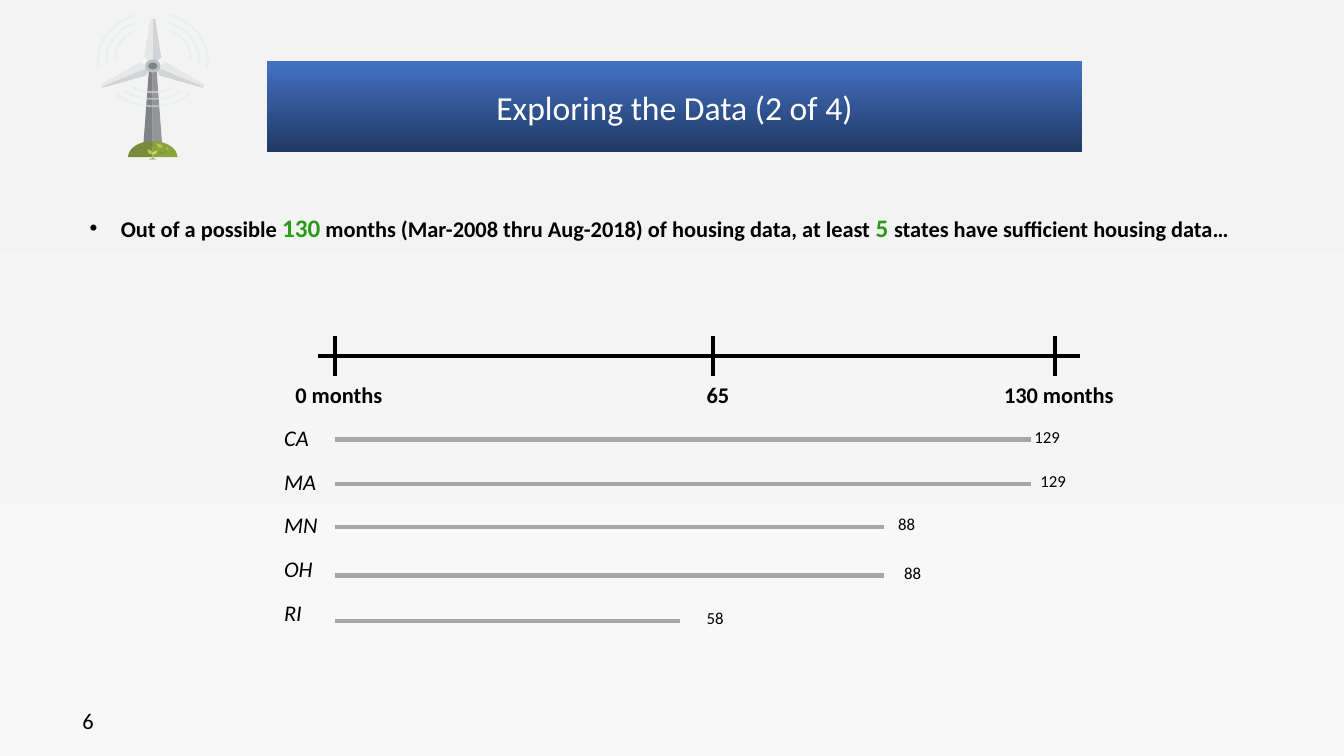
from lxml import etree
from pptx import Presentation
from pptx.dml.color import RGBColor
from pptx.enum.shapes import MSO_CONNECTOR
from pptx.enum.text import MSO_ANCHOR, MSO_AUTO_SIZE, PP_ALIGN
from pptx.oxml.ns import qn
from pptx.util import Inches, Pt

BLACK, GREEN, GREY = "000000", "2A9B18", "A6A6A6"
HUB_X, HUB_Y = 1.515, 0.655

# Outlines: two numbers are a line to x, y; six are a Bézier curve.
# Parts whose halves match on either side of the hub: right colour, left colour, outline
MIRRORED_PARTS = [
    ("939598", "808285", [(1.55, 0.65), (1.61, 1.46), (1.515, 1.46), (1.515, 0.65)]),
    ("D1D3D4", "D1D3D4", [(2.02, 0.86), (1.54, 0.66), (1.58, 0.75), (2.01, 0.87)]),
    ("E6E7E8", "E6E7E8", [(2.02, 0.86), (1.54, 0.66), (1.65, 0.62), (2.03, 0.84)]),
    ("D1D3D4", "E6E7E8", [(1.515, 0.19), (1.515, 0.64), (1.6, 0.57), (1.54, 0.19)]),
    ("8AA33C", "798C39", [(1.515, 1.4), (1.65, 1.4, 1.76, 1.47, 1.76, 1.56), (1.515, 1.56)]),
]
HUB_RINGS = [("BCBEC0", 0.075, 0.065), ("808285", 0.045, 0.035)]
UNIT_RING = [(0, -1), (0.55, -1, 1, -0.55, 1, 0), (1, 0.55, 0.55, 1, 0, 1),
             (-0.55, 1, -1, 0.55, -1, 0), (-1, -0.55, -0.55, -1, 0, -1)]
SPROUTS = [
    ("CDDD70", [(1.51, 1.52), (1.51, 1.51, 1.53, 1.5, 1.54, 1.5), (1.55, 1.5, 1.56, 1.49, 1.56, 1.49),
                (1.55, 1.54, 1.52, 1.53, 1.52, 1.53), (1.52, 1.57)]),
    ("B3C640", [(1.51, 1.52), (1.51, 1.5, 1.5, 1.49, 1.49, 1.49), (1.47, 1.49, 1.46, 1.48, 1.46, 1.48),
                (1.47, 1.54, 1.5, 1.53, 1.51, 1.53), (1.51, 1.57), (1.52, 1.57)]),
    ("778C39", [(1.55, 1.58), (1.52, 1.57), (1.5, 1.57, 1.48, 1.58, 1.48, 1.58)]),
    ("CDDD70", [(1.65, 1.48), (1.65, 1.47, 1.65, 1.47, 1.66, 1.47), (1.67, 1.47),
                (1.67, 1.49, 1.65, 1.48, 1.65, 1.48), (1.65, 1.5)]),
    ("778C39", [(1.66, 1.51), (1.65, 1.5), (1.64, 1.5), (1.63, 1.51)]),
    ("B3C640", [(1.61, 1.45), (1.61, 1.44, 1.6, 1.43, 1.58, 1.43), (1.56, 1.43, 1.55, 1.42, 1.55, 1.42),
                (1.56, 1.48, 1.6, 1.47, 1.61, 1.46), (1.61, 1.51)]),
    ("778C39", [(1.65, 1.52), (1.62, 1.51), (1.59, 1.5, 1.57, 1.52, 1.57, 1.52)]),
]
LOWER_WAVES = [
    [(1.17, 0.93), (1.35, 1.08, 1.69, 1.09, 1.87, 0.93), (1.87, 0.92, 1.89, 0.94, 1.88, 0.94),
     (1.69, 1.1, 1.34, 1.1, 1.15, 0.95), (1.14, 0.94, 1.16, 0.93, 1.17, 0.93)],
    [(1.25, 0.89), (1.39, 1, 1.64, 1, 1.78, 0.9), (1.79, 0.89, 1.81, 0.9, 1.8, 0.91),
     (1.65, 1.02, 1.38, 1.01, 1.23, 0.91), (1.22, 0.9, 1.24, 0.89, 1.25, 0.89)],
    [(1.33, 0.86), (1.44, 0.92, 1.6, 0.92, 1.7, 0.86), (1.71, 0.86, 1.72, 0.87, 1.71, 0.88),
     (1.6, 0.94, 1.43, 0.94, 1.32, 0.88), (1.31, 0.87, 1.32, 0.86, 1.33, 0.86)],
]
SIDE_WAVES = [
    [(2.04, 0.67), (2.1, 0.46, 1.92, 0.21, 1.67, 0.16), (1.66, 0.16, 1.66, 0.14, 1.67, 0.14),
     (1.93, 0.19, 2.12, 0.45, 2.06, 0.67), (2.06, 0.68, 2.04, 0.68, 2.04, 0.67)],
    [(1.96, 0.63), (1.99, 0.47, 1.86, 0.28, 1.68, 0.24), (1.67, 0.23, 1.67, 0.22, 1.68, 0.22),
     (1.88, 0.27, 2.01, 0.47, 1.98, 0.63), (1.98, 0.64, 1.96, 0.64, 1.96, 0.63)],
    [(1.88, 0.58), (1.89, 0.48, 1.8, 0.36, 1.69, 0.31), (1.68, 0.31, 1.69, 0.29, 1.7, 0.3),
     (1.82, 0.35, 1.91, 0.47, 1.9, 0.58), (1.9, 0.6, 1.88, 0.6, 1.88, 0.58)],
]


def rgb(hex_code):
    return RGBColor.from_string(hex_code)


def place(outline, sx, sy, dx, dy):
    """Scale an outline, then shift it."""
    return [tuple(v * sy + dy if i % 2 else v * sx + dx for i, v in enumerate(step))
            for step in outline]


def mirror(outline):
    return place(outline, -1, 1, 2 * HUB_X, 0)


def extent_points(outline):
    """List the end points, and the middle of each curve."""
    points = [outline[0]]
    for step in outline[1:]:
        if len(step) == 6:
            ends = points[-1] + step
            points.append(tuple((ends[i] + 3 * ends[i + 2] + 3 * ends[i + 4] + ends[i + 6]) / 8
                                for i in (0, 1)))
        points.append(step[-2:])
    return points


class SlideBuilder:
    font = "Calibri"

    def __init__(self, slide):
        self.slide = slide
        self.shapes = slide.shapes

    def start_group(self):
        self.shapes = self.slide.shapes.add_group_shape().shapes

    def gradient(self, fill, top, bottom):
        fill.gradient()
        fill.gradient_angle = 270
        for stop, color in zip(fill.gradient_stops, (top, bottom)):
            stop.color.rgb = rgb(color)

    def style(self, run, size, color=BLACK, bold=False, italic=False):
        font = run.font
        font.name, font.size, font.bold, font.italic = self.font, Pt(size), bold, italic
        font.color.rgb = rgb(color)

    def title(self, wording, *box):
        banner = self.slide.shapes.title
        banner.left, banner.top, banner.width, banner.height = map(Inches, box)
        self.gradient(banner.fill, "4472C4", "203864")
        banner.text_frame.text = wording
        banner.text_frame.vertical_anchor = MSO_ANCHOR.MIDDLE
        line = banner.text_frame.paragraphs[0]
        line.alignment = PP_ALIGN.CENTER
        self.style(line.runs[0], 24, "FFFFFF")

    def text(self, wording, *box, size=16, wrap=False, space_after=0, **look):
        frame = self.shapes.add_textbox(*map(Inches, box)).text_frame
        frame.text = wording
        frame.word_wrap = wrap
        frame.auto_size = MSO_AUTO_SIZE.SHAPE_TO_FIT_TEXT
        for paragraph in frame.paragraphs:
            paragraph.space_after = Pt(space_after)
            for run in paragraph.runs:
                self.style(run, size, **look)
        return frame

    def bullet(self, parts, *box):
        """Add one bulleted line from (wording, size, colour) parts."""
        paragraph = self.text("", *box, wrap=True).paragraphs[0]
        for wording, size, color in parts:
            run = paragraph.add_run()
            run.text = wording
            self.style(run, size, color, bold=True)
        properties = paragraph._p.get_or_add_pPr()
        properties.set("marL", str(Inches(0.31)))
        properties.set("indent", str(Inches(-0.31)))
        etree.SubElement(properties, qn("a:buFont"), typeface="Arial")
        etree.SubElement(properties, qn("a:buChar"), char="•")

    def line(self, *ends, color=BLACK):
        connector = self.shapes.add_connector(MSO_CONNECTOR.STRAIGHT, *map(Inches, ends))
        connector.line.color.rgb = rgb(color)
        connector.line.width = Pt(3)
        etree.SubElement(connector._element.spPr, qn("a:effectLst"))

    def outline(self, steps, color, opacity=100):
        points = [(Inches(x), Inches(y)) for x, y in extent_points(steps)]
        builder = self.shapes.build_freeform(*points[0], scale=1.0)
        builder.add_line_segments(points[1:], close=True)
        part = builder.convert_to_shape()
        track = part._element.spPr.find(".//" + qn("a:path"))
        for old in list(track)[1:-1]:
            track.remove(old)
        for step in steps[1:]:
            move = etree.Element(qn("a:cubicBezTo" if len(step) == 6 else "a:lnTo"))
            for x, y in zip(step[::2], step[1::2]):
                etree.SubElement(move, qn("a:pt"), x=str(Inches(x) - part.left), y=str(Inches(y) - part.top))
            track.insert(len(track) - 1, move)
        part.shadow.inherit = False
        part.line.fill.background()
        part.fill.solid()
        part.fill.fore_color.rgb = rgb(color)
        if opacity < 100:
            tint = part._element.spPr.find(".//" + qn("a:srgbClr"))
            etree.SubElement(tint, qn("a:alpha"), val=str(opacity * 1000))

    def turbine(self):
        self.start_group()
        for right, left, steps in MIRRORED_PARTS:
            self.outline(steps, right)
            self.outline(mirror(steps), left)
        for color, rx, ry in HUB_RINGS:
            self.outline(place(UNIT_RING, rx, ry, HUB_X, HUB_Y), color)
        for color, steps in SPROUTS:
            self.outline(steps, color)
        for wave in LOWER_WAVES + SIDE_WAVES + [mirror(wave) for wave in SIDE_WAVES]:
            self.outline(wave, "DCEEF1", opacity=56)

    def timeline(self):
        self.start_group()
        self.line(3.15, 3.53, 10.71, 3.53)
        for wording, tick, left, width in [("0 months", 3.32, 2.83, 1.08), ("65", 7.07, 6.91, 0.43),
                                           ("130 months", 10.46, 9.86, 1.3)]:
            self.line(tick, 3.33, tick, 3.73)
            self.text(wording, left, 3.73, width, 0.37, bold=True)
        states = [("CA", 129, 4.36, 10.23, 10.16), ("MA", 129, 4.8, 10.23, 10.22), ("MN", 88, 5.23, 8.77, 8.81),
                  ("OH", 88, 5.71, 8.77, 8.87), ("RI", 58, 6.16, 6.74, 6.91)]
        self.text("\n".join(state[0] for state in states), 2.72, 4.16, 0.54, 2.12, space_after=12, italic=True)
        for _, months, y, end, label_left in states:
            self.line(3.32, y, end, y, color=GREY)
            self.text(str(months), label_left, y - 0.18, 0.46 if months > 99 else 0.37, 0.3, size=12)


deck = Presentation()
deck.slide_width, deck.slide_height = Inches(13.33), Inches(7.5)
page = SlideBuilder(deck.slides.add_slide(deck.slide_layouts[5]))
page.gradient(page.slide.background.fill, "F3F3F3", "F8F8F8")
page.title("Exploring the Data (2 of 4)", 2.65, 0.61, 8.08, 0.9)
page.text("6", 0.72, 6.95, 3, 0.4, wrap=True).vertical_anchor = MSO_ANCHOR.MIDDLE
page.bullet([("Out of a possible ", 16, BLACK), ("130", 18, GREEN),
             (" months (Mar-2008 thru Aug-2018) of housing data, at least ", 16, BLACK),
             ("5 ", 18, GREEN), ("states have sufficient housing data…", 16, BLACK)], 0.79, 2.06, 11.7, 0.4)
page.turbine()
page.timeline()
deck.save("out.pptx")
